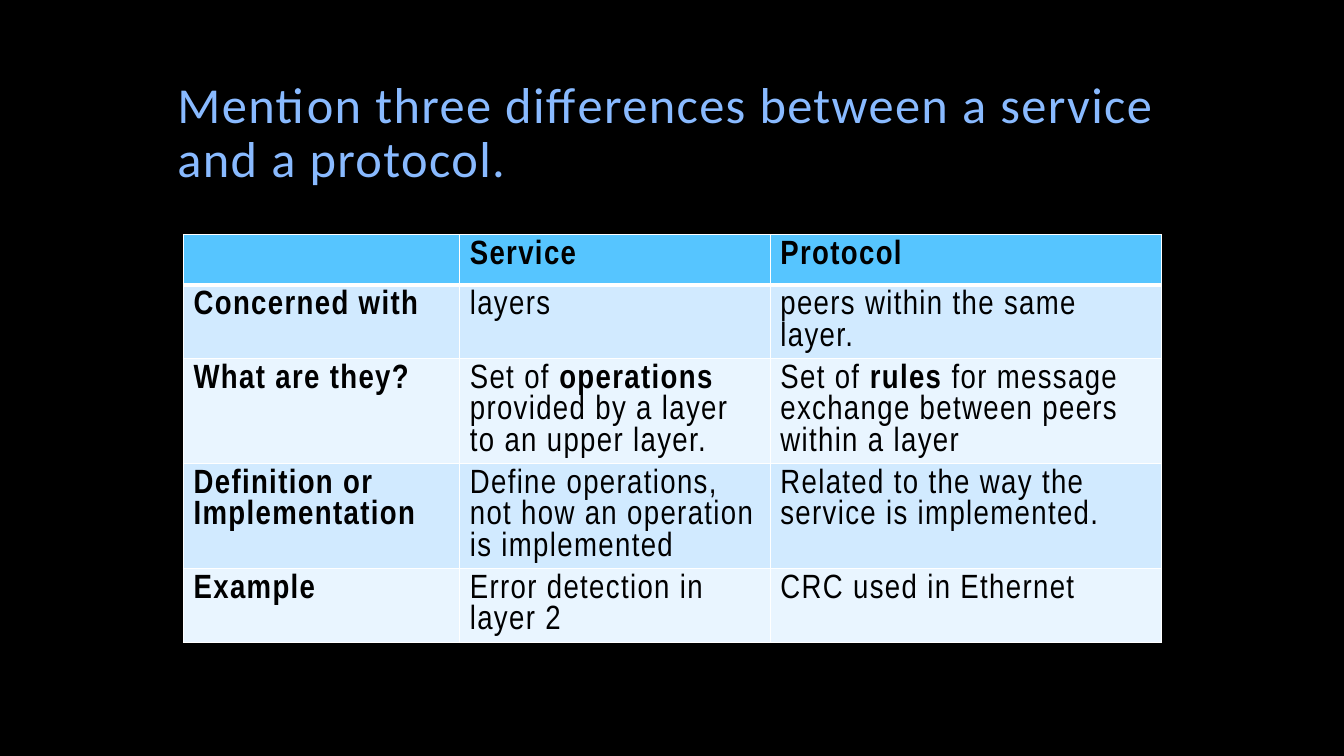
from lxml.etree import SubElement
from pptx import Presentation
from pptx.dml.color import RGBColor
from pptx.enum.text import MSO_ANCHOR, MSO_AUTO_SIZE, PP_ALIGN
from pptx.oxml.ns import qn
from pptx.util import Inches, Pt

BLACK = RGBColor(0x00, 0x00, 0x00)
WHITE = RGBColor(0xFF, 0xFF, 0xFF)
TITLE_BLUE = RGBColor(0x89, 0xBA, 0xFF)
HEADER_BLUE = RGBColor(0x56, 0xC5, 0xFF)
BANDS = [RGBColor(0xE9, 0xF5, 0xFF), RGBColor(0xD1, 0xEA, 0xFF)]

COLS = [2.74, 3.08, 3.88]
ROWS = [0.5, 0.73, 1.04, 1.04, 0.73]

# Each cell is a list of pieces; in the body cells every second piece is bold
HEADER = ["", "Service", "Protocol"]
BODY = [
    ("Concerned with", ["layers"], ["peers within the same layer."]),
    ("What are they?",
     ["Set of ", "operations", " provided by a layer to an upper layer."],
     ["Set of ", "rules", " for message exchange between peers within a layer"]),
    ("Definition or Implementation",
     ["Define operations, not how an operation is implemented"],
     ["Related to the way the service is implemented."]),
    ("Example", ["Error detection in layer 2"], ["CRC used in Ethernet"]),
]


def style(p, name, size, color):
    """Font of a whole paragraph, with letters spaced by one point."""
    p.font.name, p.font.size = name, Pt(size)
    p.font.color.rgb = color
    p._p.get_or_add_pPr().get_or_add_defRPr().set("spc", "100")


def add_title(s, text):
    title = s.shapes.title
    title.left, title.top = Inches(1.66), Inches(0.42)
    title.width, title.height = Inches(10), Inches(1.5)
    tf = title.text_frame
    tf.text = text
    tf.word_wrap = True
    tf.auto_size = MSO_AUTO_SIZE.NONE
    tf.vertical_anchor = MSO_ANCHOR.BOTTOM
    p = tf.paragraphs[0]
    p.alignment = PP_ALIGN.LEFT
    p.line_spacing = 0.9
    style(p, "Calibri", 36, TITLE_BLUE)


def set_borders(cell, widths):
    """White borders; the lines go before the fill in the cell properties."""
    tcPr = cell._tc.get_or_add_tcPr()
    for i, (side, width) in enumerate(widths.items()):
        ln = SubElement(tcPr, qn(f"a:{side}"), w=str(Pt(width)))
        fill = SubElement(ln, qn("a:solidFill"))
        SubElement(fill, qn("a:srgbClr"), val=str(WHITE))
        tcPr.insert(i, ln)


def fill_cell(cell, pieces, fill, all_bold, top=1, bottom=1):
    cell.fill.solid()
    cell.fill.fore_color.rgb = fill
    set_borders(cell, {"lnL": 1, "lnR": 1, "lnT": top, "lnB": bottom})
    p = cell.text_frame.paragraphs[0]
    style(p, "Arial Narrow", 24, BLACK)
    for i, piece in enumerate(filter(None, pieces)):
        r = p.add_run()
        r.text = piece
        r.font.bold = all_bold or i % 2 == 1


def add_comparison(s):
    frame = s.shapes.add_table(len(ROWS), len(COLS), Inches(1.82), Inches(2.33),
                               Inches(sum(COLS)), Inches(sum(ROWS)))
    table = frame.table
    table.first_row = table.horz_banding = False
    for col, width in zip(table.columns, COLS):
        col.width = Inches(width)
    for row, height in zip(table.rows, ROWS):
        row.height = Inches(height)

    # Header row, with a thick line below
    for c, text in enumerate(HEADER):
        fill_cell(table.cell(0, c), [text], HEADER_BLUE, True, bottom=3)

    # Banded body rows, with bold labels in the first column
    for r, (label, *answers) in enumerate(BODY, start=1):
        for c, pieces in enumerate([[label], *answers]):
            fill_cell(table.cell(r, c), pieces, BANDS[r % 2], c == 0,
                      top=3 if r == 1 else 1)


def main():
    prs = Presentation()
    prs.slide_width, prs.slide_height = Inches(13.33), Inches(7.5)
    s = prs.slides.add_slide(prs.slide_layouts[5])
    s.background.fill.solid()
    s.background.fill.fore_color.rgb = BLACK
    add_title(s, "Mention three differences between a service and a protocol.")
    add_comparison(s)
    prs.save("out.pptx")


if __name__ == "__main__":
    main()
